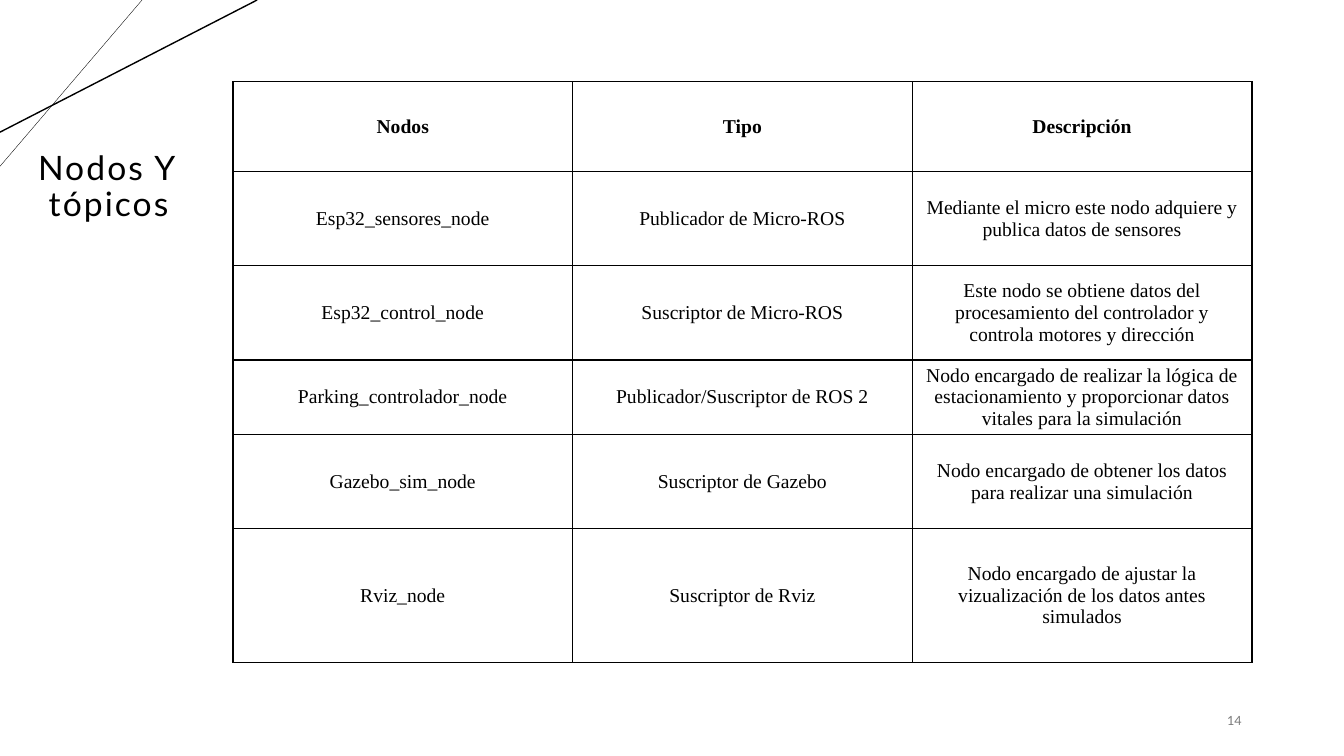
from dataclasses import dataclass

from lxml import etree
from pptx import Presentation
from pptx.dml.color import RGBColor
from pptx.enum.shapes import MSO_CONNECTOR as CONN
from pptx.enum.text import MSO_ANCHOR as ANCHOR, PP_ALIGN as ALIGN
from pptx.oxml.ns import qn
from pptx.util import Cm, Pt


@dataclass(frozen=True)
class Theme:
    ink: RGBColor = RGBColor(0x00, 0x00, 0x00)
    muted: RGBColor = RGBColor(0x79, 0x79, 0x79)
    sans: str = "Lato"
    serif: str = "Times New Roman"
    title: int = 24
    body: int = 14
    number: int = 9
    border: int = 1


THEME = Theme()
COL_WIDTH = 8.56
CELL_MARGIN = 0.05
ROW_HEIGHTS = (2.27, 2.37, 2.37, 1.65, 2.37, 3.37)
ROWS = (
    ("Nodos", "Tipo", "Descripción"),
    ("Esp32_sensores_node", "Publicador de Micro-ROS",
     "Mediante el micro este nodo adquiere y publica datos de sensores"),
    ("Esp32_control_node", "Suscriptor de Micro-ROS",
     "Este nodo se obtiene datos del procesamiento del controlador y "
     "controla motores y dirección"),
    ("Parking_controlador_node", "Publicador/Suscriptor de ROS 2",
     "Nodo encargado de realizar la lógica de estacionamiento y "
     "proporcionar datos vitales para la simulación"),
    ("Gazebo_sim_node", "Suscriptor de Gazebo",
     "Nodo encargado de obtener los datos para realizar una simulación"),
    ("Rviz_node", "Suscriptor de Rviz",
     "Nodo encargado de ajustar la vizualización de los datos antes simulados"),
)


def set_font(p, name, size, color, bold=False):
    p.font.name = name
    p.font.size = Pt(size)
    p.font.color.rgb = color
    p.font.bold = bold


def add_line(s, x1, y1, x2, y2, width):
    line = s.shapes.add_connector(CONN.STRAIGHT, Cm(x1), Cm(y1), Cm(x2), Cm(y2))
    line.line.color.rgb = THEME.ink
    line.line.width = Pt(width)
    etree.SubElement(line._element.spPr, qn("a:effectLst"))


def add_text(s, x, y, w, h, text, size, color, align):
    tf = s.shapes.add_textbox(Cm(x), Cm(y), Cm(w), Cm(h)).text_frame
    tf.word_wrap = True
    tf.vertical_anchor = ANCHOR.MIDDLE
    p = tf.paragraphs[0]
    p.text = text
    p.alignment = align
    set_font(p, THEME.sans, size, color)
    return p


def add_title(s, text):
    p = add_text(s, 0.71, 2.06, 9.02, 5.33, text, THEME.title, THEME.ink, ALIGN.LEFT)
    p.line_spacing = 0.9
    for r in p.runs:
        r.font._element.set("spc", "150")


def set_borders(cell):
    tc_pr = cell._tc.get_or_add_tcPr()
    for i, side in enumerate(("lnL", "lnR", "lnT", "lnB")):
        ln = etree.Element(qn(f"a:{side}"), w=str(Pt(THEME.border)))
        fill = etree.SubElement(ln, qn("a:solidFill"))
        etree.SubElement(fill, qn("a:srgbClr"), val=str(THEME.ink))
        tc_pr.insert(i, ln)


def fill_cell(cell, text, bold):
    cell.fill.background()
    cell.vertical_anchor = ANCHOR.MIDDLE
    cell.margin_top = cell.margin_bottom = Cm(CELL_MARGIN)
    p = cell.text_frame.paragraphs[0]
    p.text = text
    p.alignment = ALIGN.CENTER
    set_font(p, THEME.serif, THEME.body, THEME.ink, bold)
    set_borders(cell)


def add_node_table(s, x, y):
    n_cols = len(ROWS[0])
    table = s.shapes.add_table(len(ROWS), n_cols, Cm(x), Cm(y),
                               Cm(COL_WIDTH * n_cols), Cm(sum(ROW_HEIGHTS))).table
    table.horz_banding = False
    for col in table.columns:
        col.width = Cm(COL_WIDTH)
    for i, (height, texts) in enumerate(zip(ROW_HEIGHTS, ROWS)):
        table.rows[i].height = Cm(height)
        for j, text in enumerate(texts):
            fill_cell(table.cell(i, j), text, bold=i == 0)


def main():
    prs = Presentation()
    prs.slide_width, prs.slide_height = Cm(33.87), Cm(19.05)
    s = prs.slides.add_slide(prs.slide_layouts[6])
    add_line(s, 3.58, 0, 0, 4.19, 0.25)
    add_line(s, 6.48, 0, 0, 3.33, 1)
    add_title(s, "Nodos Y\v tópicos")
    add_node_table(s, 5.87, 2.06)
    add_text(s, 28.8, 17.65, 2.74, 1.02, "14", THEME.number, THEME.muted, ALIGN.RIGHT)
    prs.save("out.pptx")


if __name__ == "__main__":
    main()
